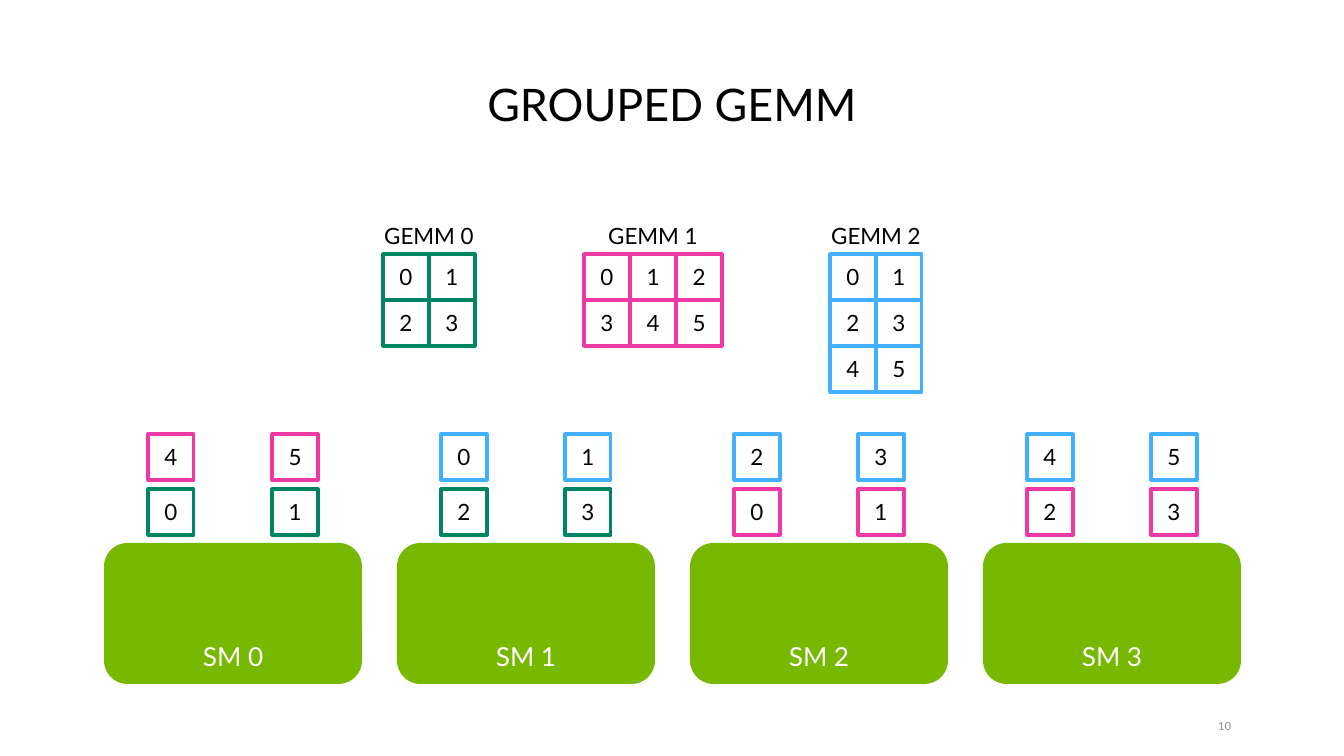
from dataclasses import dataclass

from pptx import Presentation
from pptx.dml.color import RGBColor
from pptx.enum.shapes import MSO_SHAPE
from pptx.enum.text import MSO_ANCHOR, PP_ALIGN
from pptx.shapes.autoshape import Shape
from pptx.slide import Slide
from pptx.util import Emu, Pt


@dataclass(frozen=True)
class Theme:
    font: str = "Lato"
    ink: str = "000000"
    paper: str = "FFFFFF"
    muted: str = "8C8C8C"
    processor: str = "76B900"
    green: str = "008564"
    pink: str = "EE38A6"
    blue: str = "43AFFF"
    title_size: float = 28.8
    processor_size: float = 16.8
    body_size: float = 14.4
    number_size: float = 7.2
    outline: float = 2


@dataclass(frozen=True)
class Box:
    x: int
    y: int
    w: int
    h: int


@dataclass(frozen=True)
class Gemm:
    name: str
    x: int
    cols: int
    rows: int
    color: str


THEME = Theme()
PX = 914400 / 112

TILE = 46
GRID_TOP = 254
LABEL_W, LABEL_H = 132, 36
GEMMS = [
    Gemm("GEMM 0", 383, 2, 2, THEME.green),
    Gemm("GEMM 1", 584, 3, 2, THEME.pink),
    Gemm("GEMM 2", 830, 2, 3, THEME.blue),
]

SM_COUNT = 4
SM = Box(104, 543, 258, 141)
SM_PITCH = 293
TILES_PER_SM = 2
QUEUE_INSET, QUEUE_TOP = 44, 489
QUEUE_DX, QUEUE_DY = 124, 55


def px(n: int) -> Emu:
    return Emu(round(n * PX))


def emus(box: Box) -> tuple[Emu, Emu, Emu, Emu]:
    return px(box.x), px(box.y), px(box.w), px(box.h)


def write(s: Shape, text: str, size: float, color: str = THEME.ink,
          align: PP_ALIGN = PP_ALIGN.CENTER,
          anchor: MSO_ANCHOR = MSO_ANCHOR.MIDDLE) -> None:
    tf = s.text_frame
    tf.word_wrap = True
    tf.vertical_anchor = anchor
    p = tf.paragraphs[0]
    p.text = text
    p.alignment = align
    p.font.name = THEME.font
    p.font.size = Pt(size)
    p.font.color.rgb = RGBColor.from_string(color)


def add_label(slide: Slide, box: Box, text: str, size: float,
              anchor: MSO_ANCHOR = MSO_ANCHOR.MIDDLE) -> None:
    s = slide.shapes.add_textbox(*emus(box))
    write(s, text, size, anchor=anchor)
    s.text_frame.paragraphs[0].line_spacing = 0.9


def add_filled(slide: Slide, kind: MSO_SHAPE, box: Box, fill: str) -> Shape:
    s = slide.shapes.add_shape(kind, *emus(box))
    s.shadow.inherit = False
    s.fill.solid()
    s.fill.fore_color.rgb = RGBColor.from_string(fill)
    return s


def add_tile(slide: Slide, x: int, y: int, number: int, color: str) -> None:
    s = add_filled(slide, MSO_SHAPE.RECTANGLE, Box(x, y, TILE, TILE), THEME.paper)
    s.line.color.rgb = RGBColor.from_string(color)
    s.line.width = Pt(THEME.outline)
    write(s, str(number), THEME.body_size)


def add_gemm(slide: Slide, gemm: Gemm) -> None:
    """Draw the GEMM's numbered output tiles with its name centred above."""
    center = gemm.x + gemm.cols * TILE // 2
    label = Box(center - LABEL_W // 2, GRID_TOP - LABEL_H + 1, LABEL_W, LABEL_H)
    add_label(slide, label, gemm.name, THEME.body_size)
    for n in range(gemm.rows * gemm.cols):
        row, col = divmod(n, gemm.cols)
        add_tile(slide, gemm.x + col * TILE, GRID_TOP + row * TILE, n, gemm.color)


def add_processor(slide: Slide, n: int) -> None:
    box = Box(SM.x + n * SM_PITCH, SM.y, SM.w, SM.h)
    s = add_filled(slide, MSO_SHAPE.ROUNDED_RECTANGLE, box, THEME.processor)
    s.line.fill.background()
    write(s, f"SM {n}", THEME.processor_size, THEME.paper, anchor=MSO_ANCHOR.BOTTOM)


def add_queues(slide: Slide) -> None:
    """Deal the tiles of all GEMMs in order to the SMs, one wave above another."""
    tiles = [(n, g.color) for g in GEMMS for n in range(g.rows * g.cols)]
    for i, (number, color) in enumerate(tiles):
        wave, slot = divmod(i, SM_COUNT * TILES_PER_SM)
        sm, side = divmod(slot, TILES_PER_SM)
        x = SM.x + sm * SM_PITCH + QUEUE_INSET + side * QUEUE_DX
        add_tile(slide, x, QUEUE_TOP - wave * QUEUE_DY, number, color)


def add_slide_number(slide: Slide, number: int) -> None:
    s = slide.shapes.add_textbox(*emus(Box(1191, 720, 40, 13)))
    tf = s.text_frame
    tf.margin_left = tf.margin_right = tf.margin_top = tf.margin_bottom = 0
    write(s, str(number), THEME.number_size, THEME.muted, PP_ALIGN.RIGHT)


def main() -> None:
    prs = Presentation()
    prs.slide_width, prs.slide_height = px(1344), px(756)
    slide = prs.slides.add_slide(prs.slide_layouts[6])

    add_slide_number(slide, 10)
    add_label(slide, Box(61, 64, 1222, 73), "GROUPED GEMM", THEME.title_size,
              MSO_ANCHOR.BOTTOM)
    for gemm in GEMMS:
        add_gemm(slide, gemm)
    for n in range(SM_COUNT):
        add_processor(slide, n)
    add_queues(slide)

    prs.save("out.pptx")


if __name__ == "__main__":
    main()
